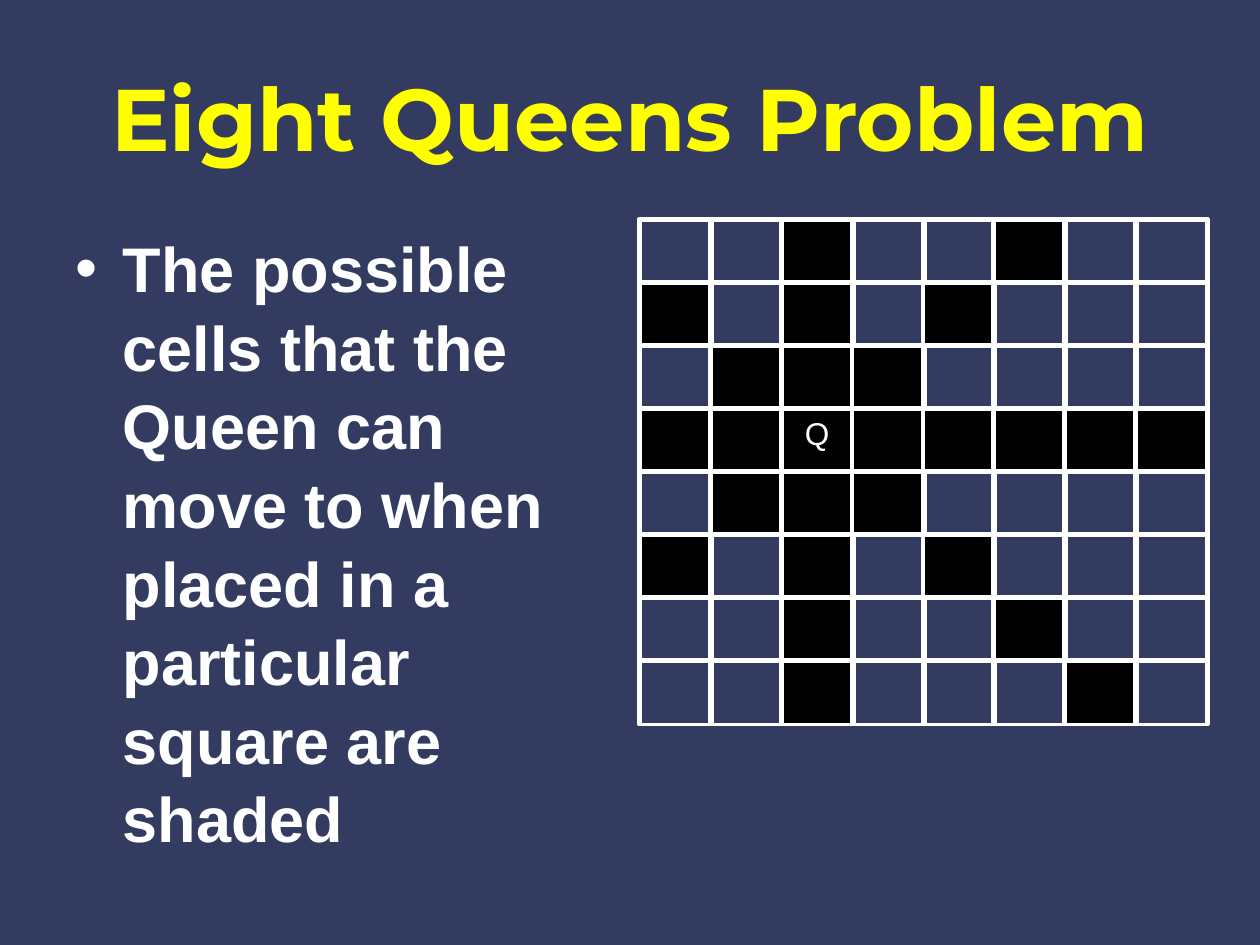
"""Build the Eight Queens slide: one bullet beside a board of the queen's moves."""
from dataclasses import dataclass

from lxml import etree
from pptx import Presentation
from pptx.dml.color import RGBColor
from pptx.enum.shapes import MSO_CONNECTOR, MSO_SHAPE
from pptx.enum.text import MSO_ANCHOR, MSO_AUTO_SIZE, PP_ALIGN
from pptx.oxml.ns import qn
from pptx.util import Inches, Pt

RECTANGLE = MSO_SHAPE.RECTANGLE
STRAIGHT = MSO_CONNECTOR.STRAIGHT
TOP, MIDDLE = MSO_ANCHOR.TOP, MSO_ANCHOR.MIDDLE
LEFT, CENTER = PP_ALIGN.LEFT, PP_ALIGN.CENTER


@dataclass(frozen=True)
class Theme:
    background: RGBColor = RGBColor(0x33, 0x3C, 0x60)
    heading: RGBColor = RGBColor(0xFF, 0xFF, 0x00)
    ink: RGBColor = RGBColor(0xFF, 0xFF, 0xFF)
    attacked: RGBColor = RGBColor(0, 0, 0)
    heading_size: Pt = Pt(50)
    body_size: Pt = Pt(36)
    queen_size: Pt = Pt(18)
    grid_width: Pt = Pt(2)


theme = Theme()


def write(shape, text, anchor, align, color, **font_format):
    frame = shape.text_frame
    frame.text = text
    frame.word_wrap = True
    frame.auto_size = MSO_AUTO_SIZE.NONE
    frame.vertical_anchor = anchor
    paragraph = frame.paragraphs[0]
    paragraph.alignment = align
    font = paragraph.runs[0].font
    font.color.rgb = color
    for name, value in font_format.items():
        setattr(font, name, value)
    return paragraph


def outline(shape):
    shape.line.color.rgb = theme.ink
    shape.line.width = theme.grid_width


prs = Presentation()
prs.slide_width, prs.slide_height = Inches(10), Inches(7.5)
slide = prs.slides.add_slide(prs.slide_layouts[1])
slide.background.fill.solid()
slide.background.fill.fore_color.rgb = theme.background

heading, explanation = slide.placeholders
for placeholder, box in ((heading, (0.5, 0.3, 9, 1.25)),
                         (explanation, (0.5, 1.75, 4.41, 4.95))):
    for side, length in zip(("left", "top", "width", "height"), box):
        setattr(placeholder, side, Inches(length))

write(heading, "Eight Queens Problem", MIDDLE, CENTER, theme.heading,
      name="Montserrat", size=theme.heading_size, bold=True)
sentence = write(
    explanation,
    "The possible cells that the Queen can move to when placed in a "
    "particular square are shaded",
    TOP, LEFT, theme.ink, name="Arial", size=theme.body_size, bold=True)
sentence.space_before = Pt(0)
sentence.line_spacing = 1.04

SIZE = 8
QUEEN_ROW, QUEEN_COLUMN = 3, 2
board_left, board_top, board_width, board_height = 5.08, 1.75, 4.5, 4
board_right, board_bottom = board_left + board_width, board_top + board_height
column_step, row_step = board_width / SIZE, board_height / SIZE
overlap = 0.01

for row in range(SIZE):
    for column in range(SIZE):
        cell = slide.shapes.add_shape(
            RECTANGLE,
            Inches(board_left + column * column_step - overlap),
            Inches(board_top + row * row_step - overlap),
            Inches(column_step + 2 * overlap), Inches(row_step + overlap))
        cell.shadow.inherit = False
        outline(cell)
        down, across = abs(row - QUEEN_ROW), abs(column - QUEEN_COLUMN)
        if down == 0 or across == 0 or down == across:
            cell.fill.solid()
            cell.fill.fore_color.rgb = theme.attacked
        else:
            cell.fill.background()
        if down == across == 0:
            write(cell, "Q", TOP, CENTER, theme.ink,
                  name="Arial", size=theme.queen_size)

for step in range(SIZE + 1):
    x, y = board_left + step * column_step, board_top + step * row_step
    for ends in ((board_left, y, board_right, y),
                 (x, board_top, x, board_bottom)):
        grid_line = slide.shapes.add_connector(STRAIGHT, *map(Inches, ends))
        outline(grid_line)
        etree.SubElement(grid_line._element.spPr, qn("a:effectLst"))

prs.save("out.pptx")
